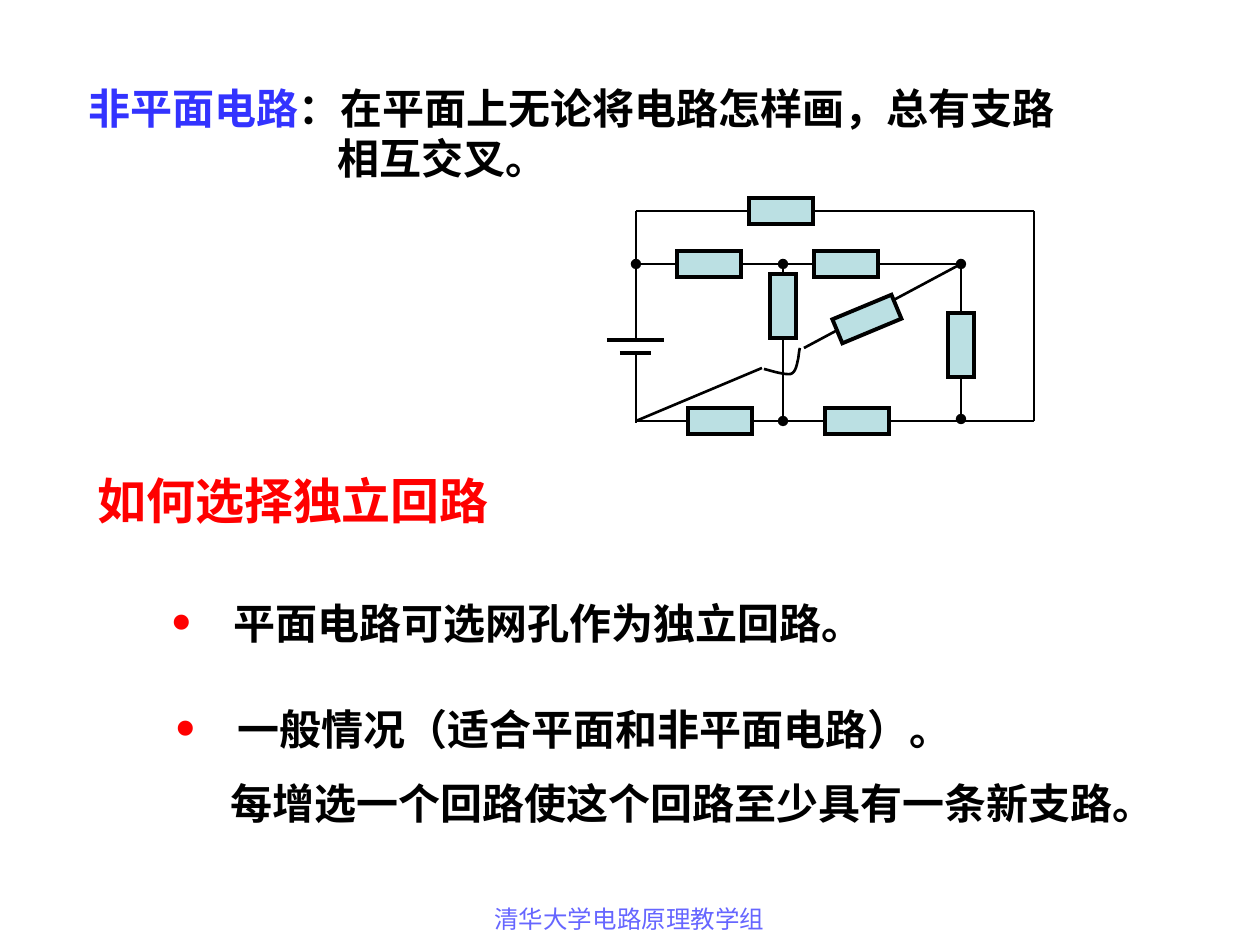
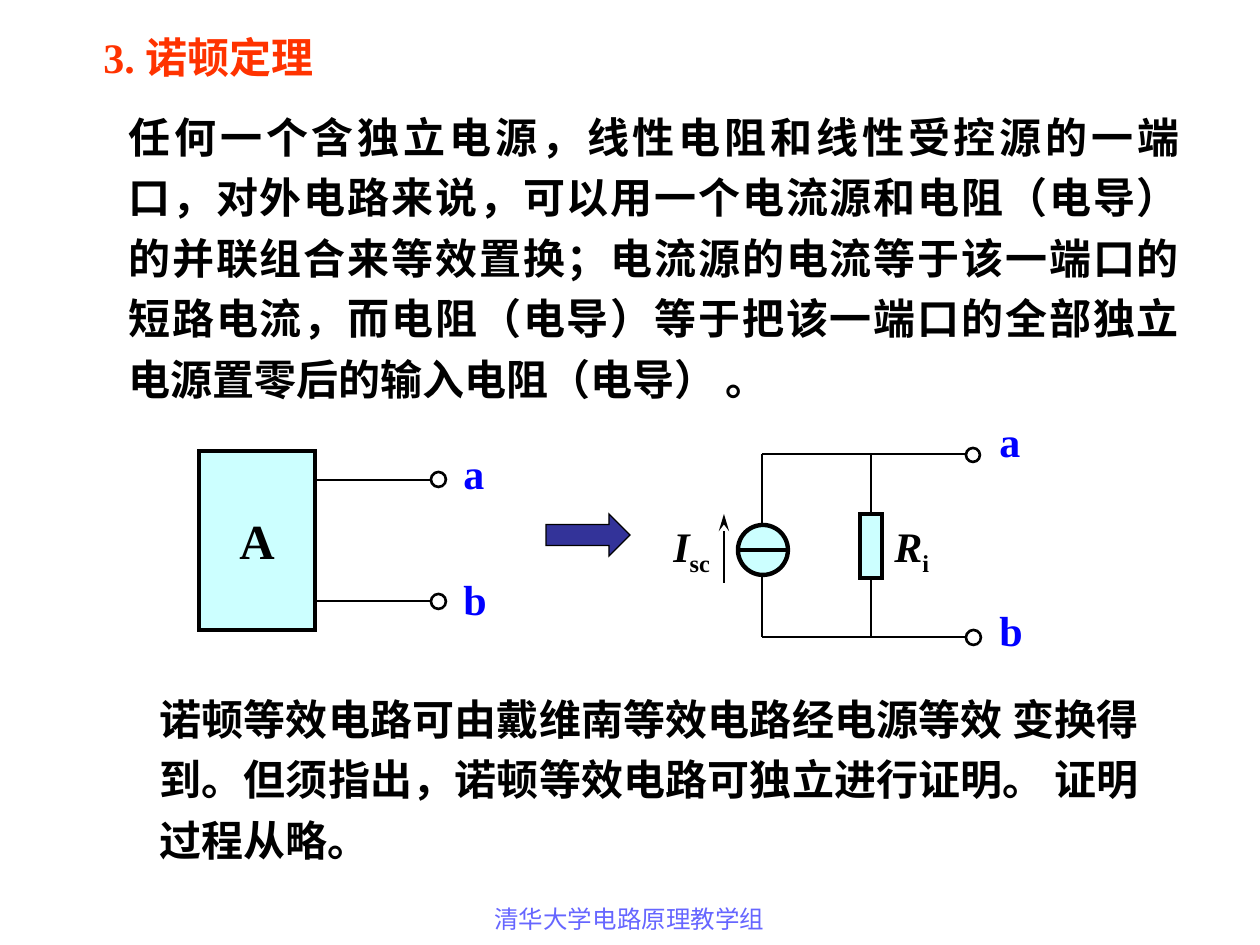
"""Build two circuit-theory slides: non-planar circuits and Norton's theorem."""
from dataclasses import dataclass

from lxml import etree
from pptx import Presentation
from pptx.dml.color import RGBColor
from pptx.enum.shapes import MSO_CONNECTOR as Link, MSO_SHAPE as Shape
from pptx.enum.text import MSO_ANCHOR as Anchor, PP_ALIGN as Align
from pptx.oxml.ns import qn
from pptx.util import Pt


@dataclass(frozen=True)
class Theme:
    font: str = "Times New Roman"
    ink: str = "000000"
    term: str = "3333FF"
    heading: str = "FF0000"
    title: str = "FF3300"
    terminal: str = "0000FF"
    footer: str = "6666FF"
    resistor: str = "BBE0E3"
    element: str = "CCFFFF"
    arrow: str = "333399"
    body_size: int = 24
    heading_size: int = 28
    footer_size: int = 14
    hairline: float = 0.75
    thin: float = 1.5
    thick: float = 2.25
    heavy: float = 2.5


theme = Theme()
PX = 914400 / 126


def ink(item, width=theme.thin, fill=None, head=None, tail=None):
    """Give a shape or connector its outline, fill and line ends."""
    item.line.color.rgb = RGBColor.from_string(theme.ink)
    item.line.width = Pt(width)
    outline = item.line._get_or_add_ln()
    etree.SubElement(outline, qn("a:miter"), lim="800000")
    for tag, end in (("a:headEnd", head), ("a:tailEnd", tail)):
        if end:
            etree.SubElement(outline, qn(tag), type=end, len="lg" if end == "stealth" else "med")
    if hasattr(item, "begin_x"):
        etree.SubElement(item._element.spPr, qn("a:effectLst"))
        return item
    item.shadow.inherit = False
    if fill:
        item.fill.solid()
        item.fill.fore_color.rgb = RGBColor.from_string(fill)
    else:
        item.fill.background()
    return item


def write(page, place, text, colour=theme.ink, size=theme.body_size, bold=True,
          align=Align.LEFT, anchor=Anchor.TOP, spacing=None, indent=None, bullet=None):
    """Add a one-paragraph text box and return its paragraph."""
    frame = page.shapes.add_textbox(*(round(v * PX) for v in place)).text_frame
    frame.word_wrap = True
    frame.vertical_anchor = anchor
    para = frame.paragraphs[0]
    para.alignment = align
    if spacing:
        para.line_spacing = spacing
    properties = para._p.get_or_add_pPr()
    properties.set("hangingPunct", "0")
    if indent:
        properties.set("marL", str(round(indent[0] * PX)))
        properties.set("indent", str(round(indent[1] * PX)))
    if bullet:
        tint = etree.SubElement(properties, qn("a:buClr"))
        etree.SubElement(tint, qn("a:srgbClr"), val=bullet)
        etree.SubElement(properties, qn("a:buSzPct"), val="150000")
        etree.SubElement(properties, qn("a:buFont"), typeface=theme.font)
        etree.SubElement(properties, qn("a:buChar"), char="•")
    para.font.name = theme.font
    para.font.size = Pt(size)
    para.font.bold = bold
    para.font.color.rgb = RGBColor.from_string(colour)
    para.add_run().text = text
    return para


deck = Presentation()
deck.slide_width, deck.slide_height = round(1260 * PX), round(945 * PX)
planar, norton = (deck.slides.add_slide(deck.slide_layouts[6]) for _ in range(2))
for page in (planar, norton):
    write(page, (430, 898, 399, 66), "清华大学电路原理教学组", theme.footer,
          theme.footer_size, bold=False, align=Align.CENTER)

definition = write(planar, (76, 76, 1009, 113), "非平面电路", theme.term, indent=(249, -249))
span = definition.add_run()
span.text = "：在平面上无论将电路怎样画，总有支路相互交叉。"
span.font.color.rgb = RGBColor.from_string(theme.ink)

LEFT, MIDDLE, RIGHT, OUTER = 636, 783, 961, 1034
TOP, UPPER, LOWER = 211, 264, 421
circuit_wires = [
    (RIGHT, UPPER, RIGHT, 419, theme.thin, None, "oval"),
    (607, 340, 664, 340, theme.thick, None, None),
    (620, 353, 651, 353, theme.thick, None, None),
    (LEFT, 353, LEFT, 423, theme.thin, None, None),
    (LEFT, UPPER, RIGHT, UPPER, theme.thin, "oval", "oval"),
    (MIDDLE, UPPER, MIDDLE, LOWER, theme.thin, "oval", "oval"),
    (LEFT, LOWER, 762, 368, theme.thin, None, None),
    (804, 348, RIGHT, UPPER, theme.thin, None, None),
    (LEFT, 338, LEFT, TOP, theme.thin, None, None),
    (LEFT, TOP, OUTER, TOP, theme.thin, None, None),
    (OUTER, TOP, OUTER, LOWER, theme.thin, None, None),
    (LEFT, LOWER, OUTER, LOWER, theme.thin, None, None),
]
for *ends, width, head, tail in circuit_wires:
    ink(planar.shapes.add_connector(Link.STRAIGHT, *(round(v * PX) for v in ends)),
        width, head=head, tail=tail)

LONG, SHORT = 64, 26
for x, y, wide, high, turn in [
    (781, TOP, LONG, SHORT, 0),
    (709, UPPER, LONG, SHORT, 0),
    (846, UPPER, LONG, SHORT, 0),
    (720, LOWER, LONG, SHORT, 0),
    (857, LOWER, LONG, SHORT, 0),
    (MIDDLE, 306, SHORT, LONG, 0),
    (RIGHT, 345, SHORT, LONG, 0),
    (867, 319, LONG, SHORT, -22.6),
]:
    place = (x - wide / 2, y - high / 2, wide, high)
    resistor = planar.shapes.add_shape(Shape.RECTANGLE, *(round(v * PX) for v in place))
    resistor.rotation = turn
    ink(resistor, theme.thick, theme.resistor)

STEPS = 8
hop = [(764, 369), (775, 372), (785, 375), (791, 374), (796, 372),
       (797, 364), (798, 360), (799, 355), (799, 351), (800, 348)]
hop_points = []
for start in range(0, len(hop) - 1, 3):
    for step in range(1, STEPS + 1):
        t = step / STEPS
        weights = ((1 - t) ** 3, 3 * t * (1 - t) ** 2, 3 * t * t * (1 - t), t ** 3)
        hop_points.append(tuple(
            sum(w * point[axis] for w, point in zip(weights, hop[start:start + 4])) * PX
            for axis in (0, 1)))
outline = planar.shapes.build_freeform(round(hop[0][0] * PX), round(hop[0][1] * PX))
outline.add_line_segments(hop_points, close=False)
ink(outline.convert_to_shape())

write(planar, (85, 464, 473, 72), "如何选择独立回路", theme.heading, theme.heading_size)
for place, text in [
    ((140, 549, 775, 105), "平面电路可选网孔作为独立回路。"),
    ((144, 655, 864, 105), "一般情况（适合平面和非平面电路）。"),
]:
    write(planar, place, text, anchor=Anchor.BOTTOM, indent=(81, -63), bullet=theme.heading)
write(planar, (218, 771, 1013, 63), "每增选一个回路使这个回路至少具有一条新支路。")

write(norton, (91, 25, 265, 63), "3. 诺顿定理", theme.title, anchor=Anchor.MIDDLE)
write(norton, (116, 95, 1076, 315),
      "任何一个含独立电源，线性电阻和线性受控源的一端 口，对外电路来说，"
      "可以用一个电流源和电阻（电导） 的并联组合来等效置换；电流源的电流等于该一端口的 "
      "短路电流，而电阻（电导）等于把该一端口的全部独立 电源置零后的输入电阻（电导） 。",
      align=Align.JUSTIFY, spacing=1.2)
write(norton, (147, 677, 1005, 194),
      "诺顿等效电路可由戴维南等效电路经电源等效 变换得到。"
      "但须指出，诺顿等效电路可独立进行证明。 证明过程从略。",
      align=Align.JUSTIFY, anchor=Anchor.MIDDLE, spacing=1.2)

for kind, place, width, fill in [
    (Shape.RIGHT_ARROW, (546, 514, 84, 42), theme.hairline, theme.arrow),
    (Shape.RECTANGLE, (199, 451, 116, 179), theme.thick, theme.element),
    (Shape.OVAL, (431, 472, 15, 15), theme.thin, None),
    (Shape.OVAL, (431, 594, 15, 15), theme.thin, None),
    (Shape.OVAL, (966, 448, 14, 14), theme.thin, None),
    (Shape.OVAL, (966, 630, 15, 15), theme.thin, None),
    (Shape.OVAL, (738, 525, 50, 50), theme.heavy, theme.element),
    (Shape.RECTANGLE, (860, 514, 22, 64), theme.heavy, theme.element),
]:
    resistance = ink(norton.shapes.add_shape(kind, *(round(v * PX) for v in place)), width, fill)

SOURCE, BRANCH, RAIL_A, RAIL_B = 762, 871, 454, 637
for *ends, width, tail, site in [
    (315, 480, 431, 480, theme.thin, None, None),
    (315, 601, 431, 601, theme.thin, None, None),
    (SOURCE, RAIL_A, 966, RAIL_A, theme.thin, None, None),
    (SOURCE, RAIL_B, 966, RAIL_B, theme.thin, None, None),
    (BRANCH, RAIL_A, BRANCH, 514, theme.thin, None, 0),
    (BRANCH, RAIL_B, BRANCH, 578, theme.thin, None, 2),
    (SOURCE, RAIL_A, SOURCE, 525, theme.thin, None, None),
    (SOURCE, 575, SOURCE, RAIL_B, theme.thin, None, None),
    (738, 550, 787, 550, theme.heavy, None, None),
    (724, 583, 724, 514, theme.thin, "stealth", None),
]:
    wire = norton.shapes.add_connector(Link.STRAIGHT, *(round(v * PX) for v in ends))
    if site is not None:
        wire.end_connect(resistance, site)
    ink(wire, width, tail=tail)

write(norton, (227, 504, 60, 72), "A", size=theme.heading_size,
      align=Align.CENTER, anchor=Anchor.MIDDLE)
for x, y, wide, name in [(451, 441, 45, "a"), (451, 567, 48, "b"),
                         (987, 409, 73, "a"), (987, 598, 53, "b")]:
    write(norton, (x, y, wide, 63), name, theme.terminal)
for place, symbol, index in [((661, 514, 95, 71), "I", "sc"),
                             ((882, 514, 158, 71), "R", "i")]:
    quantity = write(norton, place, symbol)
    quantity.runs[0].font.italic = True
    span = quantity.add_run()
    span.text = index
    span._r.get_or_add_rPr().set("baseline", "-25000")

deck.save("out.pptx")
